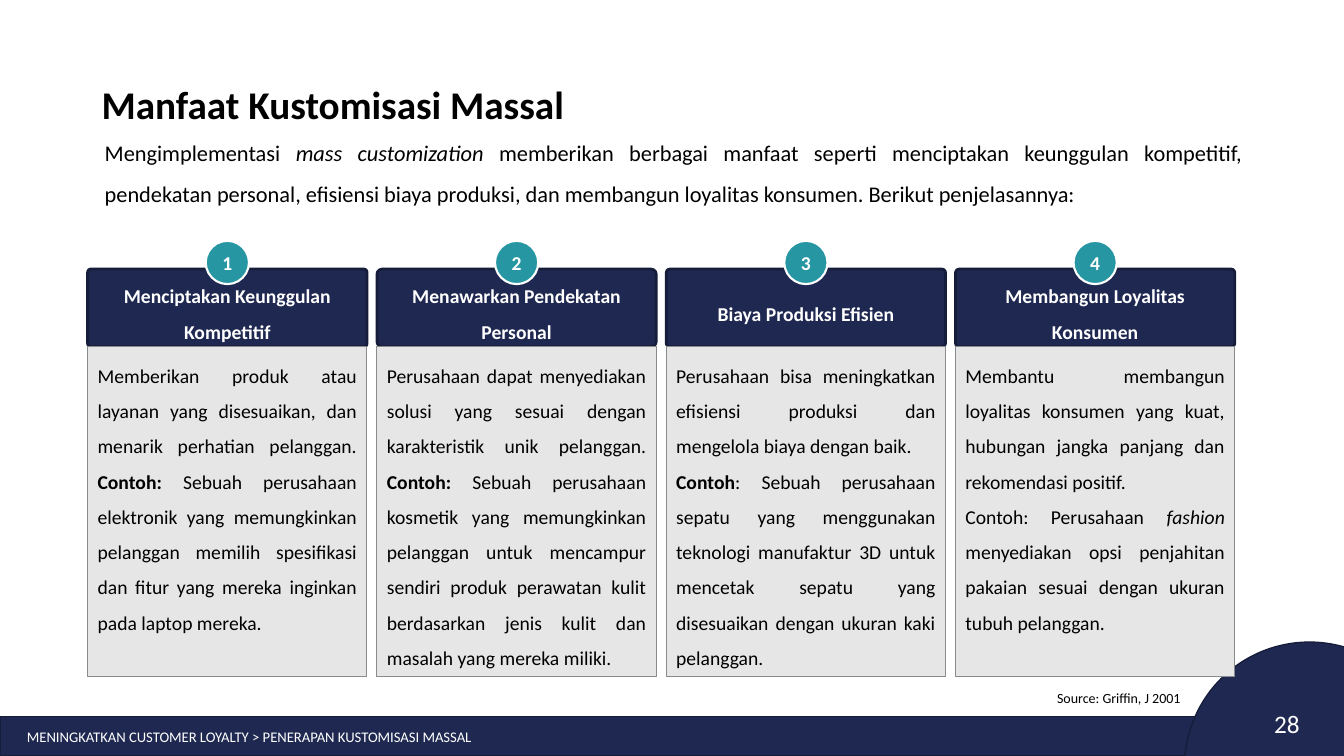
from dataclasses import dataclass

from pptx import Presentation
from pptx.dml.color import RGBColor
from pptx.enum.shapes import MSO_SHAPE
from pptx.enum.text import MSO_ANCHOR, PP_ALIGN
from pptx.util import Cm, Pt

RECT, ROUNDED, OVAL = MSO_SHAPE.RECTANGLE, MSO_SHAPE.ROUNDED_RECTANGLE, MSO_SHAPE.OVAL
LEFT, CENTER, RIGHT, JUSTIFY = PP_ALIGN.LEFT, PP_ALIGN.CENTER, PP_ALIGN.RIGHT, PP_ALIGN.JUSTIFY
TOP, MIDDLE, BOTTOM = MSO_ANCHOR.TOP, MSO_ANCHOR.MIDDLE, MSO_ANCHOR.BOTTOM


@dataclass(frozen=True)
class Theme:
    font: str = "Calibri"
    navy: str = "1F2851"
    navy_line: str = "161D3B"
    teal: str = "2796A3"
    grey: str = "E7E6E6"
    grey_line: str = "888B8C"
    white: str = "FFFFFF"
    black: str = "000000"
    title: float = 28
    number: float = 18
    intro: float = 16
    card: float = 14
    footer: float = 10.5
    source: float = 10


T = Theme()


def add_box(kind, x, y, w, h, fill=None, line=None, weight=1):
    """Add a filled shape, or a text box when kind is None."""
    box = Cm(x), Cm(y), Cm(w), Cm(h)
    if kind is None:
        return s.shapes.add_textbox(*box)
    sp = s.shapes.add_shape(kind, *box)
    sp.shadow.inherit = False
    sp.fill.solid()
    sp.fill.fore_color.rgb = RGBColor.from_string(fill)
    sp.line.color.rgb = RGBColor.from_string(line)
    sp.line.width = Pt(weight)
    return sp


def write(sp, paragraphs, size, color, align=LEFT, anchor=TOP, spacing=1.0, bold=False):
    """Fill a shape; each paragraph is a list of (text, style), style "b", "i" or ""."""
    tf = sp.text_frame
    tf.word_wrap = True
    tf.vertical_anchor = anchor
    tf.margin_left = tf.margin_right = Cm(0.25)
    tf.margin_top = tf.margin_bottom = Cm(0.13)
    for i, pieces in enumerate(paragraphs):
        p = tf.add_paragraph() if i else tf.paragraphs[0]
        p.alignment = align
        p.line_spacing = spacing
        for text, style in pieces:
            r = p.add_run()
            r.text = text
            r.font.name = T.font
            r.font.size = Pt(size)
            r.font.color.rgb = RGBColor.from_string(color)
            r.font.bold = bold or style == "b"
            r.font.italic = style == "i"


prs = Presentation()
prs.slide_width, prs.slide_height = Cm(33.87), Cm(19.05)
s = prs.slides.add_slide(prs.slide_layouts[6])

# Footer band, corner circle and page number
add_box(RECT, 0, 18.06, 33.87, 0.99, T.navy, T.navy_line)
add_box(OVAL, 29.85, 16.18, 6.3, 6.3, T.navy, T.navy_line)
number = add_box(None, 27.97, 17.6, 5.03, 1.02)
write(number, [[("28", "")]], T.number, T.white, RIGHT)
number.text_frame.margin_top = Cm(0.25)
write(add_box(None, 0.43, 18.06, 24.59, 1.02),
      [[("MENINGKATKAN CUSTOMER LOYALTY > PENERAPAN KUSTOMISASI MASSAL", "")]],
      T.footer, T.white, anchor=MIDDLE)

# Title and introduction
write(add_box(None, 2.31, 1.45, 29.79, 1.9), [[("Manfaat Kustomisasi Massal", "")]],
      T.title, T.black, anchor=BOTTOM, bold=True)
write(add_box(None, 2.39, 3.05, 29.18, 2.31),
      [[("Mengimplementasi ", ""), ("mass customization ", "i"),
        ("memberikan berbagai manfaat seperti menciptakan keunggulan kompetitif, "
         "pendekatan personal, efisiensi biaya produksi, dan membangun loyalitas "
         "konsumen. Berikut penjelasannya: ", "")]],
      T.intro, T.black, JUSTIFY, spacing=1.5)

# Source line
write(add_box(None, 10.34, 17.25, 19.66, 0.69), [[("Source: Griffin, J 2001", "")]],
      T.source, T.black, RIGHT)

# Benefit cards: heading, corner rounding, body paragraphs
cards = [
    ("Menciptakan Keunggulan Kompetitif", 0.04, [
        [("Memberikan produk atau layanan yang disesuaikan, dan menarik perhatian pelanggan. ", ""),
         ("Contoh: ", "b"),
         ("Sebuah perusahaan elektronik yang memungkinkan pelanggan memilih spesifikasi "
          "dan fitur yang mereka inginkan pada laptop mereka.", "")]]),
    ("Menawarkan Pendekatan Personal", 0.07, [
        [("Perusahaan dapat menyediakan solusi yang sesuai dengan karakteristik unik pelanggan. ", ""),
         ("Contoh: ", "b"),
         ("Sebuah perusahaan kosmetik yang memungkinkan pelanggan untuk mencampur sendiri "
          "produk perawatan kulit berdasarkan jenis kulit dan masalah yang mereka miliki. ", "")]]),
    ("Biaya Produksi Efisien", 0.05, [
        [("Perusahaan bisa meningkatkan efisiensi produksi dan mengelola biaya dengan baik. ", "")],
        [("Contoh", "b"),
         (": Sebuah perusahaan sepatu yang menggunakan teknologi manufaktur 3D untuk mencetak "
          "sepatu yang disesuaikan dengan ukuran kaki pelanggan. ", "")]]),
    ("Membangun Loyalitas Konsumen", 0.05, [
        [("Membantu membangun loyalitas konsumen yang kuat, hubungan jangka panjang dan "
          "rekomendasi positif.", "")],
        [("Contoh: Perusahaan ", ""), ("fashion", "i"),
         (" menyediakan opsi penjahitan pakaian sesuai dengan ukuran tubuh pelanggan. ", "")]]),
]
card_w, card_step, badge_d = 7.04, 7.29, 1.09
for i, (heading, rounding, body) in enumerate(cards):
    x = 2.21 + i * card_step
    head = add_box(ROUNDED, x, 6.78, card_w, 1.96, T.navy, T.navy_line, 2)
    head.adjustments[0] = rounding
    write(head, [[(heading, "")]], T.card, T.white, CENTER, MIDDLE, 1.5, bold=True)
    panel = add_box(RECT, x, 8.74, card_w, 8.31, T.grey, T.grey_line, 0.75)
    write(panel, body, T.card, T.black, JUSTIFY, spacing=1.5)
    badge = add_box(OVAL, x + (card_w - badge_d) / 2, 6.07, badge_d, badge_d,
                    T.teal, T.white, 1.5)
    write(badge, [[(str(i + 1), "")]], T.card, T.white, CENTER, MIDDLE, bold=True)

prs.save("out.pptx")
